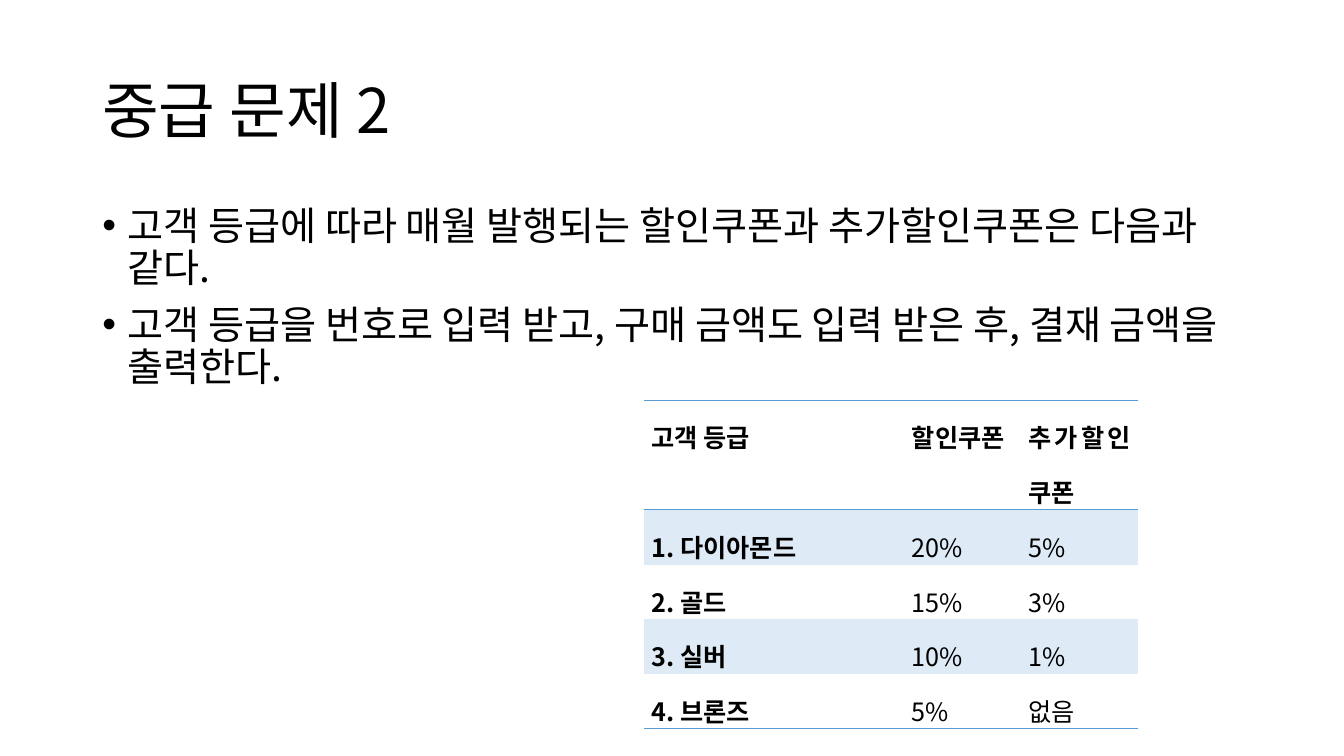
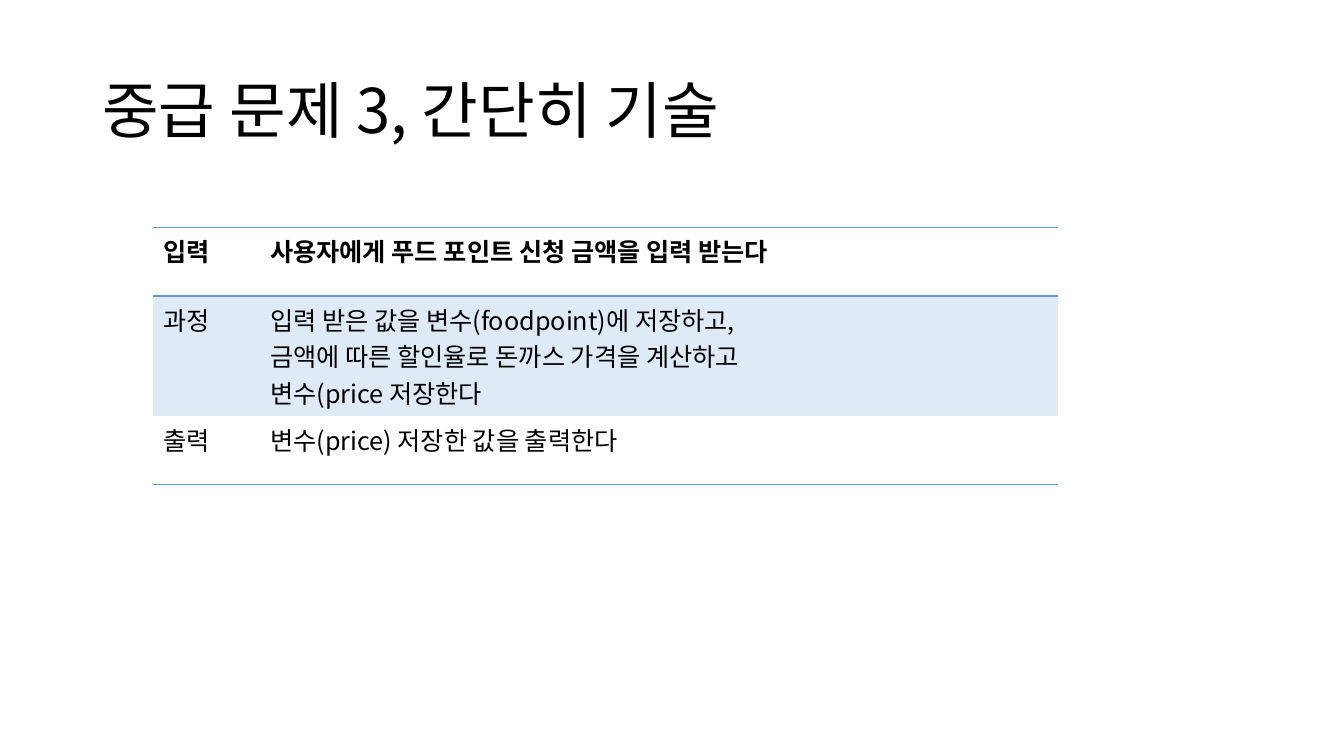
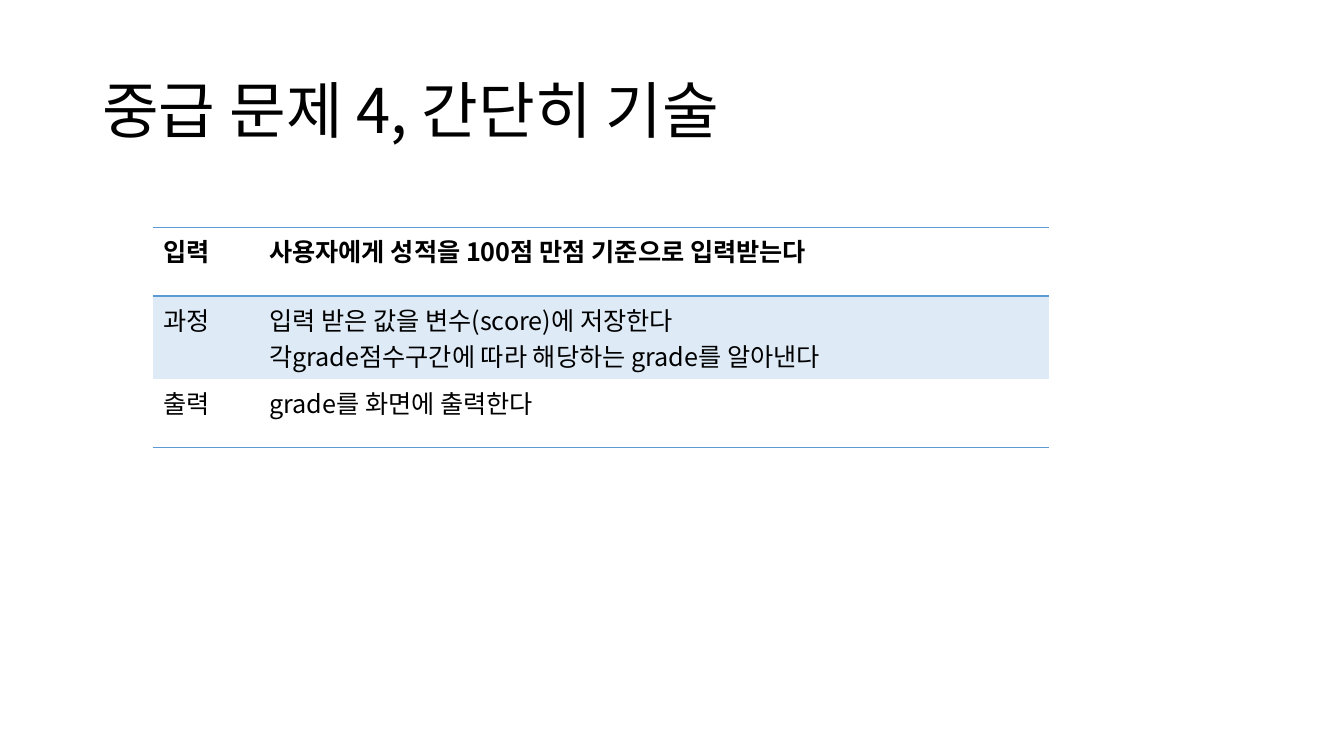
from dataclasses import dataclass

from lxml.etree import SubElement
from pptx import Presentation
from pptx.dml.color import RGBColor
from pptx.enum.text import MSO_ANCHOR, PP_ALIGN
from pptx.oxml.ns import qn
from pptx.util import Pt


@dataclass(frozen=True)
class Theme:
    font: str = "Noto Sans CJK KR"
    ink: str = "000000"
    rule: str = "5B9BD5"
    band: str = "DEEBF7"
    title_size: int = 44
    body_size: int = 28
    table_size: int = 18
    line_spacing: float = 0.9
    rule_width: int = 1
    plain_table_style: str = "{2D5ABB26-0587-4C30-8999-92F81FD0307C}"


@dataclass(frozen=True)
class Box:
    left: float
    top: float
    width: float
    height: float

    def lengths(self):
        return Pt(self.left), Pt(self.top), Pt(self.width), Pt(self.height)


THEME = Theme()
TITLE_BOX = Box(66, 28.8, 828, 104.4)
BODY_BOX = Box(66, 144, 828, 342.7)


def format_runs(paragraph, size, bold=False):
    for run in paragraph.runs:
        run.font.size = Pt(size)
        run.font.bold = bold
        run.font.name = THEME.font
        run.font.color.rgb = RGBColor.from_string(THEME.ink)


def add_text(slide, box, text, size):
    text_frame = slide.shapes.add_textbox(*box.lengths()).text_frame
    text_frame.word_wrap = True
    text_frame.text = text
    for paragraph in text_frame.paragraphs:
        paragraph.line_spacing = THEME.line_spacing
        format_runs(paragraph, size)
    return text_frame


def add_title(slide, box, text):
    text_frame = add_text(slide, box, text, THEME.title_size)
    text_frame.vertical_anchor = MSO_ANCHOR.MIDDLE


def add_bullets(slide, box, lines):
    text_frame = add_text(slide, box, "\n".join(lines), THEME.body_size)
    for index, paragraph in enumerate(text_frame.paragraphs):
        if index:
            paragraph.space_before = Pt(10)
        properties = paragraph._p.get_or_add_pPr()
        properties.set("marL", str(Pt(18)))
        properties.set("indent", str(-Pt(18)))
        SubElement(properties, qn("a:buFont"), typeface="Arial")
        SubElement(properties, qn("a:buChar"), char="•")


def set_borders(cell, ruled_sides):
    properties = cell._tc.get_or_add_tcPr()
    for side in "LRTB":
        line = SubElement(properties, qn(f"a:ln{side}"), w=str(Pt(THEME.rule_width)))
        if side in ruled_sides:
            fill = SubElement(line, qn("a:solidFill"))
            SubElement(fill, qn("a:srgbClr"), val=THEME.rule)
        else:
            SubElement(line, qn("a:noFill"))


def fill_cell(cell, banded):
    if banded:
        cell.fill.solid()
        cell.fill.fore_color.rgb = RGBColor.from_string(THEME.band)
    else:
        cell.fill.background()


def add_ruled_table(slide, box, rows, widths, heights, bold_first_column=False):
    frame = slide.shapes.add_table(len(rows), len(widths), *box.lengths())
    table = frame.table
    table._tbl.tblPr.find(qn("a:tableStyleId")).text = THEME.plain_table_style
    table.horz_banding = False
    for column, width in zip(table.columns, widths):
        column.width = Pt(width)
    for row, height in zip(table.rows, heights):
        row.height = Pt(height)
    last = len(rows) - 1
    for row_index, texts in enumerate(rows):
        sides = {0: "TB", 1: "T", last: "B"}.get(row_index, "")
        for column_index, text in enumerate(texts):
            cell = table.cell(row_index, column_index)
            cell.text_frame.text = text
            bold = row_index == 0 or (bold_first_column and column_index == 0)
            for paragraph in cell.text_frame.paragraphs:
                format_runs(paragraph, THEME.table_size, bold)
            set_borders(cell, sides)
            fill_cell(cell, row_index % 2 == 1)
    return table


def add_coupon_table(slide, box, rows):
    widths = [box.width - 2 * 83.5, 83.5, 83.5]
    line_height = box.height / (len(rows) + 1)
    heights = [2 * line_height] + [line_height] * (len(rows) - 1)
    table = add_ruled_table(slide, box, rows, widths, heights, bold_first_column=True)
    for cell in table.iter_cells():
        cell.margin_left = cell.margin_right = Pt(5.4)
        cell.margin_top = cell.margin_bottom = Pt(0)
        for paragraph in cell.text_frame.paragraphs:
            paragraph.alignment = PP_ALIGN.JUSTIFY
            paragraph.line_spacing = 1.5


def add_step_table(slide, box, label_width, steps):
    rows = list(zip(("입력", "과정", "출력"), steps))
    widths = [label_width, box.width - label_width]
    outer_height = 49
    heights = [outer_height, box.height - 2 * outer_height, outer_height]
    add_ruled_table(slide, box, rows, widths, heights)


def add_slide(presentation, title):
    slide = presentation.slides.add_slide(presentation.slide_layouts[6])
    add_title(slide, TITLE_BOX, title)
    return slide


def main():
    presentation = Presentation()
    presentation.slide_width = Pt(960)
    presentation.slide_height = Pt(540)

    slide = add_slide(presentation, "중급 문제 2")
    add_bullets(slide, BODY_BOX, [
        "고객 등급에 따라 매월 발행되는 할인쿠폰과 추가할인쿠폰은 다음과 같다.",
        "고객 등급을 번호로 입력 받고, 구매 금액도 입력 받은 후, 결재 금액을 출력한다.",
    ])
    add_coupon_table(slide, Box(460, 286, 353, 234.6), [
        ("고객 등급", "할인쿠폰", "추가할인쿠폰"),
        ("1. 다이아몬드", "20%", "5%"),
        ("2. 골드", "15%", "3%"),
        ("3. 실버", "10%", "1%"),
        ("4. 브론즈", "5%", "없음"),
    ])

    slide = add_slide(presentation, "중급 문제 3, 간단히 기술")
    add_step_table(slide, Box(109.4, 162.5, 646.4, 183.5), 76.4, [
        "사용자에게 푸드 포인트 신청 금액을 입력 받는다",
        "입력 받은 값을 변수(foodpoint)에 저장하고,\n"
        "금액에 따른 할인율로 돈까스 가격을 계산하고\n"
        "변수(price 저장한다",
        "변수(price) 저장한 값을 출력한다",
    ])

    slide = add_slide(presentation, "중급 문제 4, 간단히 기술")
    add_step_table(slide, Box(109.4, 162.5, 640, 157.3), 75.7, [
        "사용자에게 성적을 100점 만점 기준으로 입력받는다",
        "입력 받은 값을 변수(score)에 저장한다\n"
        "각grade점수구간에 따라 해당하는 grade를 알아낸다",
        "grade를 화면에 출력한다",
    ])

    presentation.save("out.pptx")


if __name__ == "__main__":
    main()
